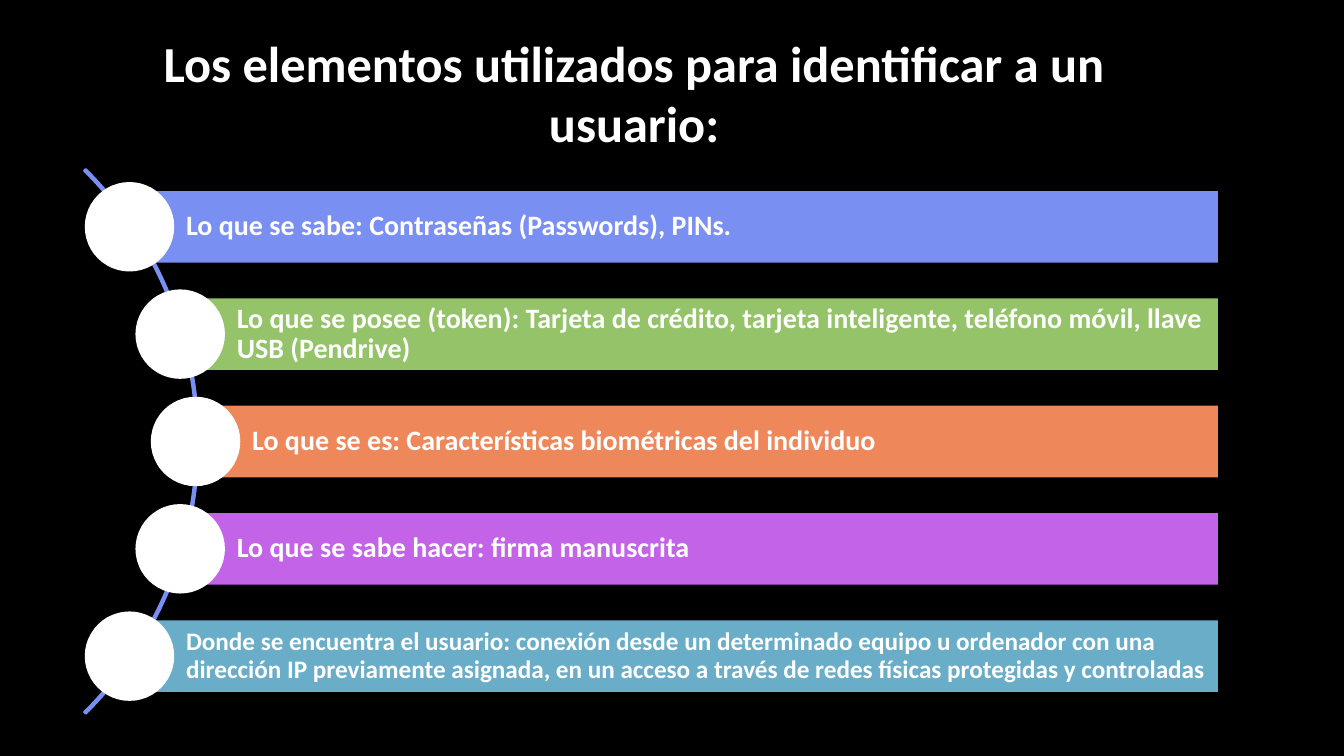
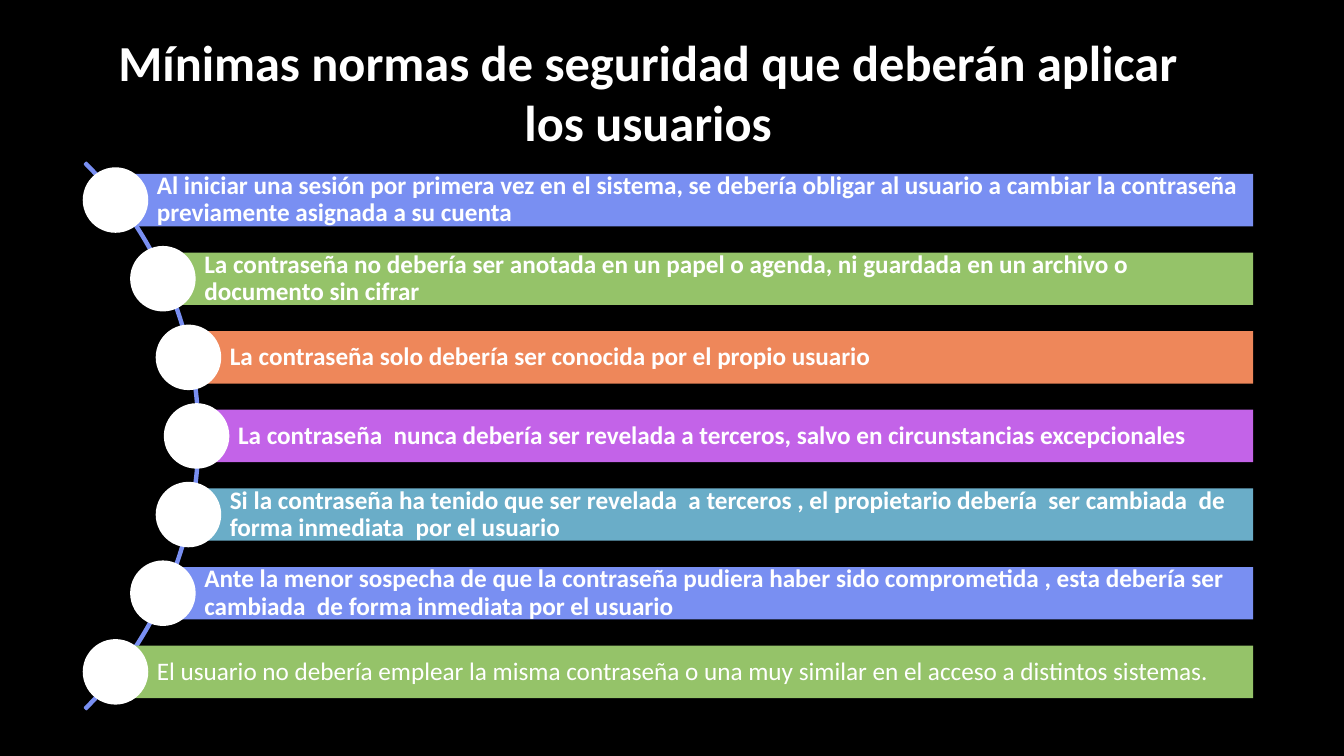
from dataclasses import dataclass
from itertools import cycle
from math import sqrt

from pptx import Presentation
from pptx.dml.color import RGBColor
from pptx.enum.shapes import MSO_SHAPE as Shape
from pptx.enum.text import MSO_ANCHOR as Anchor, MSO_AUTO_SIZE as AutoSize, PP_ALIGN as Align
from pptx.util import Inches, Pt


@dataclass(frozen=True)
class Theme:
    font: str = "Calibri"
    background: str = "000000"
    light: str = "FFFFFF"
    arc: str = "798FF2"
    bars: tuple = ("798FF2", "95C369", "EE875A", "C363E8", "6AADC8")
    title_size: int = 36
    large_size: int = 20
    small_size: int = 18
    arc_width: float = 1.5


@dataclass(frozen=True)
class Arc:
    """Circle whose right-hand quarter is drawn; lengths in inches."""
    left: float
    top: float
    size: float

    @property
    def middle(self):
        return self.top + self.size / 2

    def x_at(self, y):
        """Marker centre at height y, on a curve just inside the arc."""
        radius = self.size / 2 - 0.03
        return self.left + self.size / 2 + sqrt(radius ** 2 - (y - self.middle) ** 2)


def apply(target, values):
    for name, value in values.items():
        setattr(target, name, value)


class Slides:
    def __init__(self, theme):
        self.theme = theme
        self.deck = Presentation()
        apply(self.deck, {"slide_width": Inches(13.33), "slide_height": Inches(7.5)})
        self.paint(self.deck.slide_master.background.fill, theme.background)
        self.page = None

    @staticmethod
    def paint(fill, color):
        fill.solid()
        fill.fore_color.rgb = RGBColor.from_string(color)

    def set_text(self, box, text, size, bold=True, align=Align.LEFT, spacing=1.0):
        """Fill the box with one paragraph and return its text frame."""
        frame = box.text_frame
        apply(frame, {"word_wrap": True, "auto_size": AutoSize.NONE,
                      "vertical_anchor": Anchor.MIDDLE})
        para = frame.paragraphs[0]
        apply(para, {"alignment": align, "line_spacing": spacing})
        span = para.add_run()
        span.text = text
        apply(span.font, {"name": self.theme.font, "size": Pt(size), "bold": bold})
        span.font.color.rgb = RGBColor.from_string(self.theme.light)
        return frame

    def add_page(self, title, left, top, width, height):
        self.page = self.deck.slides.add_slide(self.deck.slide_layouts[5])
        box = self.page.shapes.title
        apply(box, {"left": Inches(left), "top": Inches(top),
                    "width": Inches(width), "height": Inches(height)})
        self.set_text(box, title, self.theme.title_size, align=Align.CENTER)

    def add_shape(self, kind, left, top, width, height, color=None):
        shape = self.page.shapes.add_shape(
            kind, Inches(left), Inches(top), Inches(width), Inches(height))
        shape.shadow.inherit = False
        shape.line.fill.background()
        if color:
            self.paint(shape.fill, color)
        else:
            shape.fill.background()
        return shape

    def add_arc(self, arc):
        shape = self.add_shape(Shape.BLOCK_ARC, arc.left, arc.top, arc.size, arc.size)
        for index, value in enumerate((189, 27, 0.003)):
            shape.adjustments[index] = value
        self.paint(shape.line.fill, self.theme.arc)
        shape.line.width = Pt(self.theme.arc_width)

    def add_bar(self, left, top, right, height, color, text, size, bold):
        bar = self.add_shape(Shape.RECTANGLE, left, top, right - left, height, color)
        frame = self.set_text(bar, text, size, bold, spacing=0.9)
        inset = Inches(0.05)
        apply(frame, {"margin_left": Inches(height * 0.79), "margin_top": inset,
                      "margin_right": inset, "margin_bottom": inset})

    def add_marker(self, x, y, size):
        self.add_shape(Shape.OVAL, x - size / 2, y - size / 2, size, size, self.theme.light)

    def add_curved_list(self, arc, right, height, items):
        """Stack bars whose left ends, with round markers, follow the arc."""
        self.add_arc(arc)
        pitch = height * 1.5
        first = arc.middle - pitch * (len(items) - 1) / 2
        for index, ((text, size, bold), color) in enumerate(zip(items, cycle(self.theme.bars))):
            y = first + index * pitch
            x = arc.x_at(y)
            self.add_bar(x, y - height / 2, right, height, color, text, size, bold)
            self.add_marker(x, y, height * 1.25)


def main():
    theme = Theme()
    large, small = theme.large_size, theme.small_size
    slides = Slides(theme)

    slides.add_page("Los elementos utilizados para identificar a un usuario:",
                    0.75, 0.28, 11.08, 1.27)
    slides.add_curved_list(Arc(-5.67, 0.56, 7.64), 12.08, 0.71, [
        ("Lo que se sabe: Contraseñas (Passwords), PINs.", large, True),
        ("Lo que se posee (token): Tarjeta de crédito, tarjeta inteligente, "
         "teléfono móvil, llave USB (Pendrive)", large, True),
        ("Lo que se es: Características biométricas del individuo", large, True),
        ("Lo que se sabe hacer: firma manuscrita", large, True),
        ("Donde se encuentra el usuario: conexión desde un determinado equipo u "
         "ordenador con una dirección IP previamente asignada, en un acceso a través "
         "de redes físicas protegidas y controladas", small, True),
    ])

    slides.add_page("Mínimas normas de seguridad que deberán aplicar los usuarios",
                    0.89, 0.34, 11.08, 1.13)
    slides.add_curved_list(Arc(-5.69, 0.49, 7.67), 12.43, 0.52, [
        ("Al iniciar una sesión por primera vez en el sistema, se debería obligar al "
         "usuario a cambiar la contraseña previamente asignada a su cuenta", small, True),
        ("La contraseña no debería ser anotada en un papel o agenda, ni guardada en "
         "un archivo o documento sin cifrar", small, True),
        ("La contraseña solo debería ser conocida por el propio usuario", small, True),
        ("La contraseña  nunca debería ser revelada a terceros, salvo en "
         "circunstancias excepcionales", small, True),
        ("Si la contraseña ha tenido que ser revelada  a terceros , el propietario "
         "debería  ser cambiada  de forma inmediata  por el usuario", small, True),
        ("Ante la menor sospecha de que la contraseña pudiera haber sido comprometida "
         ", esta debería ser  cambiada  de forma inmediata por el usuario", small, True),
        ("El usuario no debería emplear la misma contraseña o una muy similar en el "
         "acceso a distintos sistemas.", small, False),
    ])

    slides.deck.save("out.pptx")


if __name__ == "__main__":
    main()
